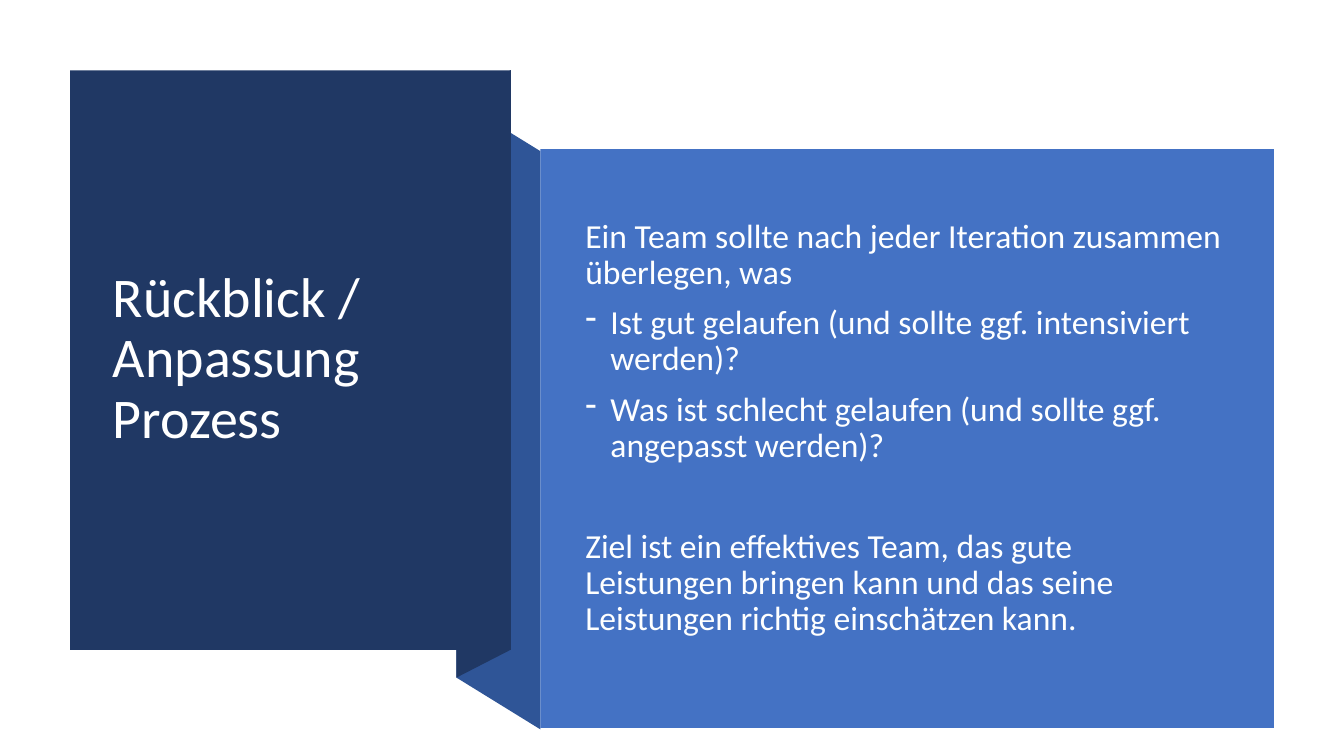
import pptx
import pptx.util
import pptx.dml.color
import pptx.enum.shapes
import pptx.enum.text
import pptx.oxml.ns
import lxml.etree

Pt = pptx.util.Pt
COLORS = {"panel": "4472C4", "fold": "2F5597", "title_panel": "203864",
          "title": "FFFFFF", "body": "FEFFFF"}


def fill_shape(shape, color):
    shape.shadow.inherit = False
    shape.fill.solid()
    shape.fill.fore_color.rgb = pptx.dml.color.RGBColor.from_string(COLORS[color])
    shape.line.fill.background()


def add_text(slide, bounds, paragraphs, size, color):
    box = slide.shapes.add_textbox(*map(Pt, bounds))
    frame = box.text_frame
    frame.word_wrap = True
    frame.vertical_anchor = pptx.enum.text.MSO_ANCHOR.MIDDLE
    for index, (text, space_before, dashed) in enumerate(paragraphs):
        para = frame.add_paragraph() if index else frame.paragraphs[0]
        for name, value in {"line_spacing": 0.9, "space_before": Pt(space_before)}.items():
            setattr(para, name, value)
        span = para.add_run()
        span.text = text
        for name, value in {"name": "Calibri", "size": Pt(size)}.items():
            setattr(span.font, name, value)
        span.font.color.rgb = pptx.dml.color.RGBColor.from_string(COLORS[color])
        if dashed:
            properties = para._p.get_or_add_pPr()
            properties.set("marL", str(Pt(18)))
            properties.set("indent", str(-Pt(18)))
            bullet = lxml.etree.SubElement(properties, pptx.oxml.ns.qn("a:buChar"))
            bullet.set("char", "-")


deck = pptx.Presentation()
deck.slide_width, deck.slide_height = Pt(960), Pt(540)
page = deck.slides.add_slide(deck.slide_layouts[6])

folds = [
    ("fold", [(386, 520.6), (326.2, 484), (326.2, 71.2), (386, 107.8)]),
    ("title_panel", [(364.6, 463.8), (326.2, 484.4), (326.2, 70.4), (364.6, 49.8)]),
]
for color, corners in folds:
    builder = page.shapes.build_freeform(*corners[0], scale=Pt(1))
    builder.add_line_segments(corners[1:], close=True)
    fill_shape(builder.convert_to_shape(), color)

panels = [
    ("title_panel", (50, 50.2, 314.8, 414)),
    ("panel", (386, 106.6, 524, 413.4)),
]
for color, bounds in panels:
    panel = page.shapes.add_shape(
        pptx.enum.shapes.MSO_SHAPE.RECTANGLE, *map(Pt, bounds))
    fill_shape(panel, color)

add_text(page, (73.6, 77, 267, 359.4),
         [("Rückblick / Anpassung Prozess", 0, False)], 40, "title")
add_text(page, (411, 135.4, 468.8, 341.4), [
    ("Ein Team sollte nach jeder Iteration zusammen überlegen, was", 10, False),
    ("Ist gut gelaufen (und sollte ggf. intensiviert werden)?", 10, True),
    ("Was ist schlecht gelaufen (und sollte ggf. angepasst werden)?", 10, True),
    ("Ziel ist ein effektives Team, das gute Leistungen bringen kann und das "
     "seine Leistungen richtig einschätzen kann.", 46, False),
], 24, "body")

deck.save("out.pptx")
